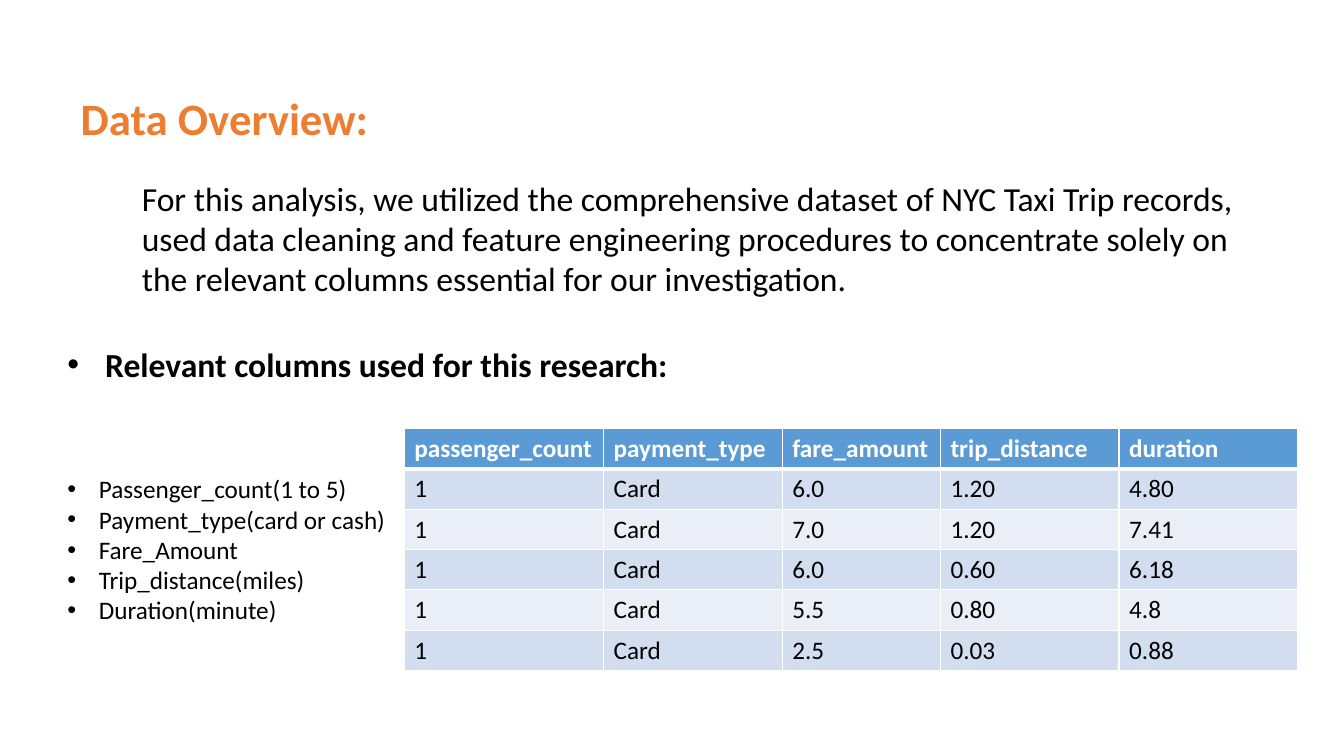
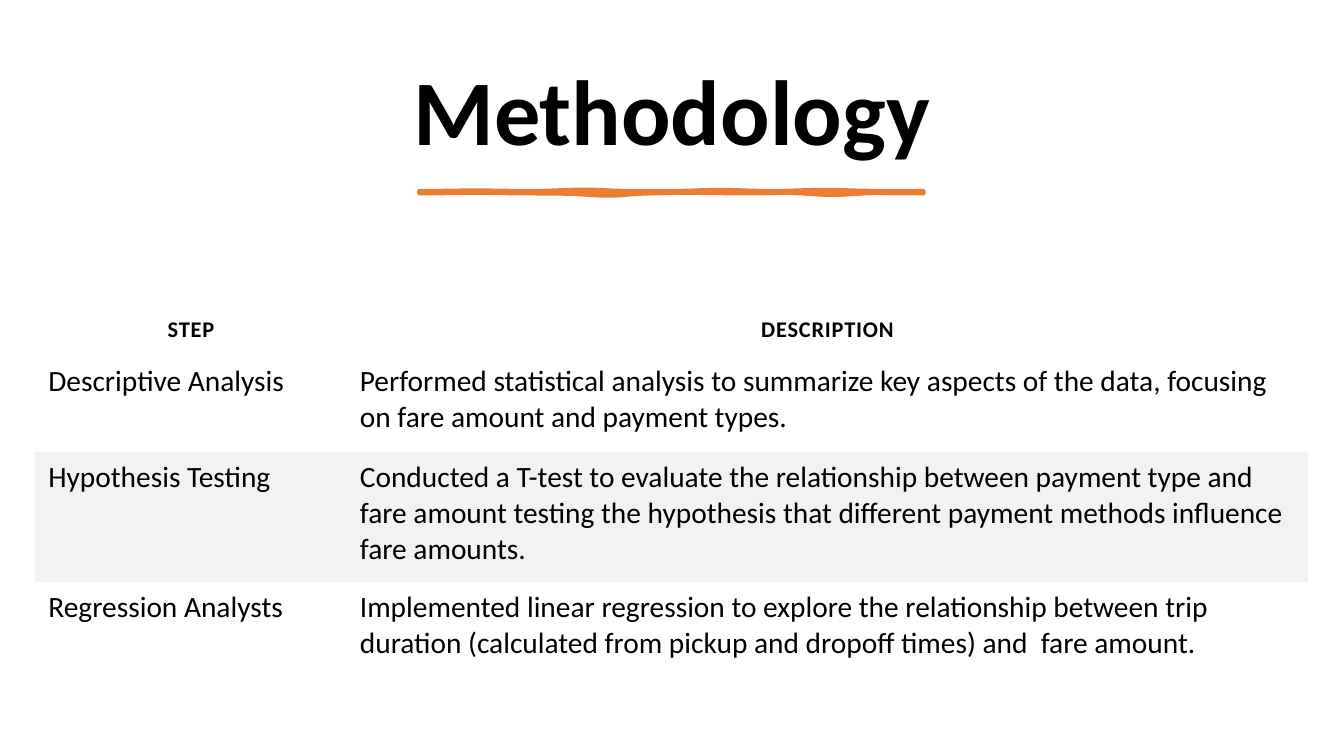
"""Build the data overview and methodology slides."""
import dataclasses
import math

import pptx
import pptx.dml.color
import pptx.enum.text
import pptx.oxml.ns
import pptx.util
from lxml import etree

Pt = pptx.util.Pt
qn = pptx.oxml.ns.qn
ALIGN = pptx.enum.text.PP_ALIGN
ANCHOR = pptx.enum.text.MSO_ANCHOR
NO_STYLE = "{2D5ABB26-0587-4C30-8999-92F81FD0307C}"


@dataclasses.dataclass(frozen=True)
class Theme:
    """Colours, font and type sizes of the deck."""
    font: str = "Calibri"
    ink: str = "000000"
    paper: str = "FFFFFF"
    accent: str = "ED7D31"
    header: str = "5B9BD5"
    bands: tuple = ("D2DEEF", "EAEFF7")
    stripe: str = "F2F2F2"
    display: float = 66
    title: float = 32
    body: float = 24
    step: float = 21
    detail: float = 18
    label: float = 16


@dataclasses.dataclass(frozen=True)
class Box:
    """A rectangle in points."""
    left: float
    top: float
    width: float
    height: float

    def inner(self, left, top, width, height):
        """Return a box placed relative to this one."""
        return Box(self.left + left, self.top + top, width, height)

    def emu(self):
        """Return the position and size as lengths."""
        return [Pt(value) for value in dataclasses.astuple(self)]


THEME = Theme()
PAGE = Box(0, 0, 960, 540)

OVERVIEW = ("For this analysis, we utilized the comprehensive dataset of NYC Taxi Trip records, "
            "used data cleaning and feature engineering procedures to concentrate solely on "
            "the relevant columns essential for our investigation.")
COLUMN_NOTES = ["Passenger_count(1 to 5)", "Payment_type(card or cash)", "Fare_Amount",
                "Trip_distance(miles)", "Duration(minute)"]
TRIPS = [
    ["passenger_count", "payment_type", "fare_amount", "trip_distance", "duration"],
    ["1", "Card", "6.0", "1.20", "4.80"],
    ["1", "Card", "7.0", "1.20", "7.41"],
    ["1", "Card", "6.0", "0.60", "6.18"],
    ["1", "Card", "5.5", "0.80", "4.8"],
    ["1", "Card", "2.5", "0.03", "0.88"],
]
STEPS = [
    ["STEP", "DESCRIPTION"],
    ["Descriptive Analysis",
     "Performed statistical analysis to summarize key aspects of the data, focusing on "
     "fare amount and payment types."],
    ["Hypothesis Testing",
     "Conducted a T-test to evaluate the relationship between payment type and fare amount "
     "testing the hypothesis that different payment methods influence fare amounts."],
    ["Regression Analysts",
     "Implemented linear regression to explore the relationship between trip duration "
     "(calculated from pickup and dropoff times) and  fare amount."],
]
BRUSH_TOP = [(0, 0), (40, -0.4), (80, 0), (118, -1), (150, 0), (180, 0), (215, -0.8),
             (250, 0), (290, -0.8), (330, 0), (360, 0)]
BRUSH_BOTTOM = [(0, 1.4), (40, 1), (80, 1.4), (103, 1.6), (135, 3), (165, 1.4), (188, 1),
                (240, 1.4), (262, 1), (295, 2.5), (325, 1.2), (360, 1.4)]


def rgb(value):
    """Return a colour from its hex digits."""
    return pptx.dml.color.RGBColor.from_string(value)


def write(frame, text, *, size, color=THEME.ink, bold=False, align=ALIGN.LEFT,
          indent=0, line_spacing=None, space_after=None, tracking=0):
    """Fill a text frame with one paragraph per line of text."""
    frame.word_wrap = True
    for number, line in enumerate(text.split("\n")):
        paragraph = frame.add_paragraph() if number else frame.paragraphs[0]
        paragraph.alignment = align
        if line_spacing:
            paragraph.line_spacing = line_spacing
        if space_after:
            paragraph.space_after = Pt(space_after)
        if indent:
            properties = paragraph._p.get_or_add_pPr()
            properties.set("marL", str(Pt(indent)))
            properties.set("indent", str(-Pt(indent)))
            etree.SubElement(properties, qn("a:buFont"), typeface="Arial")
            etree.SubElement(properties, qn("a:buChar"), char="•")
        run = paragraph.add_run()
        run.text = line
        run.font.name = THEME.font
        run.font.size = Pt(size)
        run.font.bold = bold
        run.font.color.rgb = rgb(color)
        if tracking:
            run._r.get_or_add_rPr().set("spc", str(round(tracking * 100)))


def add_text(slide, box, text, **text_format):
    """Add a text box."""
    write(slide.shapes.add_textbox(*box.emu()).text_frame, text, **text_format)


def add_titled_slide(deck, box, text, anchor, **text_format):
    """Add a title-only slide with its title placed and formatted."""
    slide = deck.slides.add_slide(deck.slide_layouts[5])
    title = slide.shapes.title
    title.left, title.top, title.width, title.height = box.emu()
    title.text_frame.auto_size = pptx.enum.text.MSO_AUTO_SIZE.NONE
    title.text_frame.vertical_anchor = anchor
    write(title.text_frame, text, bold=True, **text_format)
    return slide


def add_plain_table(slide, box, rows, widths, heights):
    """Add an unstyled table and return it with its (row, cell, text) entries."""
    table = slide.shapes.add_table(len(rows), len(widths), *box.emu()).table
    table.first_row = table.horz_banding = False
    table._tbl.tblPr.find(qn("a:tableStyleId")).text = NO_STYLE
    for column, width in zip(table.columns, widths):
        column.width = Pt(width)
    for row, height in zip(table.rows, heights):
        row.height = Pt(height)
    return [(r, table.cell(r, c), text)
            for r, row in enumerate(rows) for c, text in enumerate(row)]


def set_borders(cell, color, **widths):
    """Draw the given sides of a cell, before its fill is set."""
    properties = cell._tc.get_or_add_tcPr()
    for side, width in widths.items():
        line = etree.SubElement(properties, qn("a:ln" + side), w=str(Pt(width)))
        fill = etree.SubElement(line, qn("a:solidFill"))
        etree.SubElement(fill, qn("a:srgbClr"), val=color)


def fill_cell(cell, color):
    """Fill a cell, or clear it when there is no colour."""
    if color:
        cell.fill.solid()
        cell.fill.fore_color.rgb = rgb(color)
    else:
        cell.fill.background()


def add_trip_table(slide, box):
    """Add the banded table of sample trips."""
    widths = [142.4, 127.6, 113, 127.6, 127.6]
    heights = [box.height / len(TRIPS)] * len(TRIPS)
    for row, cell, text in add_plain_table(slide, box, TRIPS, widths, heights):
        heading = row == 0
        set_borders(cell, THEME.paper, L=1, R=1, T=3 if row == 1 else 1, B=3 if heading else 1)
        fill_cell(cell, THEME.header if heading else THEME.bands[(row - 1) % 2])
        write(cell.text_frame, text, size=THEME.detail, bold=heading,
              color=THEME.paper if heading else THEME.ink)


def add_step_table(slide, box):
    """Add the table of analysis steps."""
    widths, heights = [222.5, box.width - 222.5], [41.6, 68.4, 92.8, 68.4]
    for row, cell, text in add_plain_table(slide, box, STEPS, widths, heights):
        heading = row == 0
        cell.margin_left = cell.margin_right = cell.margin_bottom = Pt(9.4)
        cell.margin_top = Pt(9.4 if heading else 4.9)
        cell.vertical_anchor = ANCHOR.BOTTOM if heading else ANCHOR.TOP
        fill_cell(cell, THEME.stripe if row == 2 else None)
        write(cell.text_frame, text, bold=heading,
              size=THEME.label if heading else THEME.step,
              align=ALIGN.CENTER if heading else ALIGN.LEFT,
              tracking=0.6 if heading else 0)


def smooth(knots, steps=6):
    """Return points eased between knots."""
    points = [(x0 + (x1 - x0) * i / steps,
               y0 + (y1 - y0) * (1 - math.cos(math.pi * i / steps)) / 2)
              for (x0, y0), (x1, y1) in zip(knots, knots[1:]) for i in range(steps)]
    return points + [knots[-1]]


def add_brush_line(slide, box):
    """Add the hand-drawn rule under a title."""
    edge = smooth(BRUSH_TOP) + smooth(BRUSH_BOTTOM)[::-1]
    outline = [(Pt(box.left + x * box.width / 360), Pt(box.top + y)) for x, y in edge]
    builder = slide.shapes.build_freeform(*outline[0])
    builder.add_line_segments(outline[1:], close=True)
    brush = builder.convert_to_shape()
    brush.shadow.inherit = False
    brush.fill.solid()
    brush.fill.fore_color.rgb = rgb(THEME.accent)
    brush.line.color.rgb = rgb(THEME.accent)
    brush.line.width = Pt(3.25)


def build_overview(deck, box):
    """Build the data overview slide."""
    slide = add_titled_slide(deck, box.inner(50.4, 61.2, 238.4, 46), "Data Overview:",
                             ANCHOR.TOP, size=THEME.title, color=THEME.accent)
    add_text(slide, box.inner(94.2, 123.2, 816.4, 92), OVERVIEW, size=THEME.body)
    add_text(slide, box.inner(41, 241.8, 474.4, 36), "Relevant columns used for this research:",
             size=THEME.body, bold=True, indent=27)
    add_text(slide, box.inner(41, 334.8, 305.2, 116.6), "\n".join(COLUMN_NOTES),
             size=THEME.detail, indent=22.5)
    add_trip_table(slide, box.inner(288.8, 306, 638.2, 172.8))


def build_methodology(deck, box):
    """Build the methodology slide."""
    slide = add_titled_slide(deck, box.inner(50.4, 33, 859, 98.6), "Methodology", ANCHOR.MIDDLE,
                             size=THEME.display, align=ALIGN.CENTER,
                             line_spacing=0.9, space_after=6)
    add_brush_line(slide, box.inner(299.6, 136.6, 360, 2))
    add_step_table(slide, box.inner(25.2, 213.2, 909.4, 271.2))


def main():
    """Build and save the deck."""
    deck = pptx.Presentation()
    deck.slide_width, deck.slide_height = Pt(PAGE.width), Pt(PAGE.height)
    build_overview(deck, PAGE)
    build_methodology(deck, PAGE)
    deck.save("out.pptx")


if __name__ == "__main__":
    main()
